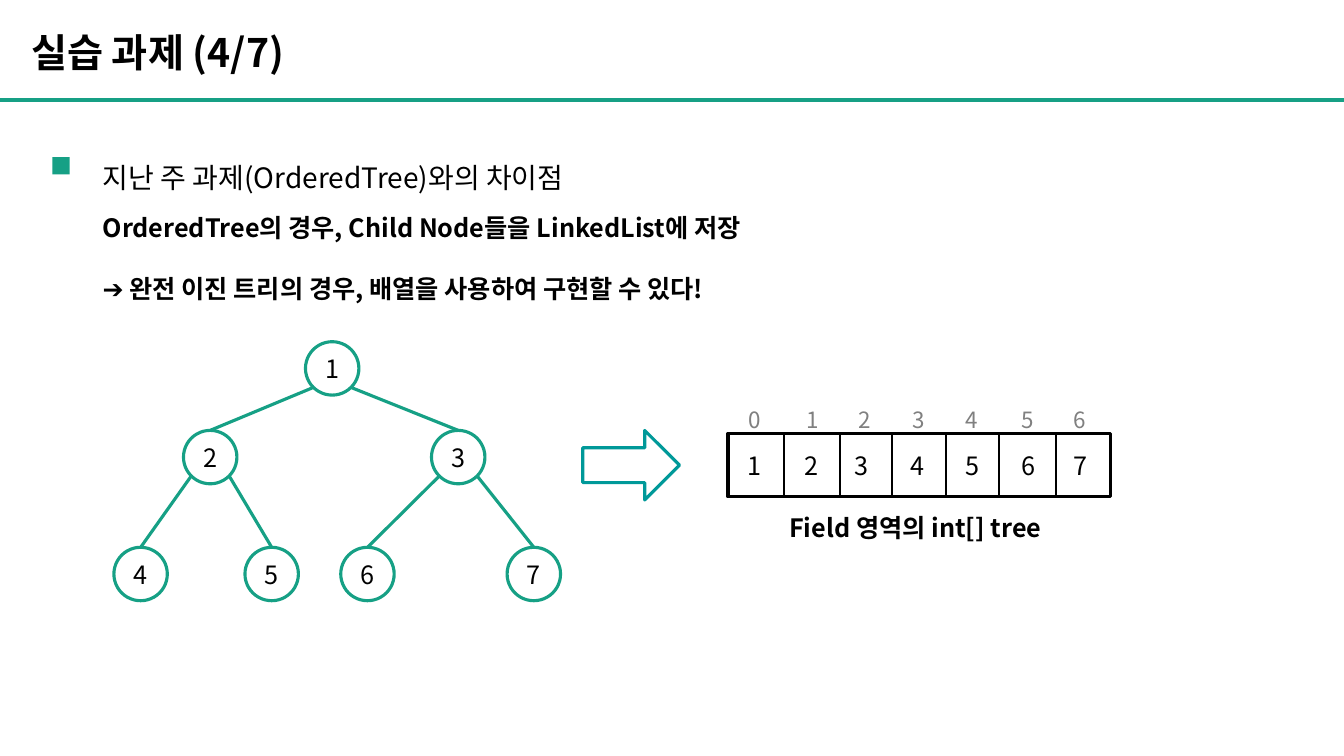
from pptx import Presentation
from pptx.dml.color import RGBColor
from pptx.enum.shapes import MSO_CONNECTOR, MSO_SHAPE
from pptx.enum.text import MSO_ANCHOR, MSO_AUTO_SIZE, PP_ALIGN
from pptx.oxml.ns import qn
from pptx.util import Inches, Pt
from lxml import etree

FONT = "Noto Sans CJK KR"
GREEN, TEAL, BLACK, GRAY = "16A085", "009999", "000000", "808080"
NODE_SIZE = 0.53
# Value of each tree node: left and top of its circle
NODES = {
    1: (3.03, 3.39),
    2: (1.82, 4.27), 3: (4.28, 4.27),
    4: (1.13, 5.43), 5: (2.43, 5.43), 6: (3.38, 5.43), 7: (5.03, 5.43),
}
ARRAY_LEFT, ARRAY_TOP, ARRAY_WIDTH, ARRAY_HEIGHT = 7.22, 4.3, 3.79, 0.63
DIVIDERS = [7.78, 8.33, 8.85, 9.38, 9.91, 10.47]
VALUE_LEFTS = [7.32, 7.88, 8.38, 8.93, 9.48, 10.03, 10.55]
INDEX_LEFTS = [7.33, 7.9, 8.42, 8.95, 9.48, 10.03, 10.55]


def color(hex_value):
    return RGBColor.from_string(hex_value)


def write(paragraph, text, size, ink=BLACK, bold=False):
    """Add a run whose Latin and East Asian text share one font."""
    run = paragraph.add_run()
    run.text = text
    for name, value in {"name": FONT, "size": Pt(size), "bold": bold}.items():
        setattr(run.font, name, value)
    run.font.color.rgb = color(ink)
    east_asian = etree.SubElement(run.font._element, qn("a:ea"))
    east_asian.set("typeface", FONT)


def add_text(shapes, box, lines, size, ink=BLACK, bold=False, **spacing):
    """Add a text box; spacing holds paragraph attributes."""
    frame = shapes.add_textbox(*map(Inches, box)).text_frame
    frame.word_wrap = True
    frame.auto_size = MSO_AUTO_SIZE.SHAPE_TO_FIT_TEXT
    for number, line in enumerate(lines):
        paragraph = frame.add_paragraph() if number else frame.paragraphs[0]
        write(paragraph, line, size, ink, bold)
        for name, value in spacing.items():
            setattr(paragraph, name, value)


def add_outline(shapes, kind, box, ink):
    outline = shapes.add_shape(kind, *map(Inches, box))
    outline.shadow.inherit = False
    outline.fill.background()
    outline.line.color.rgb = color(ink)
    outline.line.width = Pt(2.25)
    return outline


def add_line(shapes, start, end, ink, width):
    line = shapes.add_connector(MSO_CONNECTOR.STRAIGHT, *map(Inches, (*start, *end)))
    line.line.color.rgb = color(ink)
    line.line.width = Pt(width)
    etree.SubElement(line._element.spPr, qn("a:effectLst"))


def add_bullet(shapes, box):
    bullet = shapes.add_shape(MSO_SHAPE.RECTANGLE, *map(Inches, box))
    bullet.shadow.inherit = False
    bullet.fill.solid()
    bullet.fill.fore_color.rgb = color(GREEN)
    bullet.line.fill.background()


def add_node(shapes, value):
    box = (*NODES[value], NODE_SIZE, NODE_SIZE)
    frame = add_outline(shapes, MSO_SHAPE.OVAL, box, GREEN).text_frame
    frame.vertical_anchor = MSO_ANCHOR.MIDDLE
    frame.paragraphs[0].alignment = PP_ALIGN.CENTER
    write(frame.paragraphs[0], str(value), 18)


def add_edge(shapes, child):
    """Join the top of a child to the lower left or right of its parent."""
    radius, diagonal = NODE_SIZE / 2, 0.19
    left, top = NODES[child]
    parent_left, parent_top = NODES[child // 2]
    side = -diagonal if child % 2 == 0 else diagonal
    add_line(shapes, (left + radius, top),
             (parent_left + radius + side, parent_top + radius + diagonal), GREEN, 2.25)


def add_tree(shapes):
    for value in NODES:
        add_node(shapes, value)
        if value > 1:
            add_edge(shapes, value)


def add_array(shapes):
    cells = shapes.add_group_shape().shapes
    add_outline(cells, MSO_SHAPE.RECTANGLE,
                (ARRAY_LEFT, ARRAY_TOP, ARRAY_WIDTH, ARRAY_HEIGHT), BLACK)
    for value, left in enumerate(VALUE_LEFTS, start=1):
        add_text(cells, (left, 4.42, 0.37, 0.4), [str(value)], 18)
    for x in DIVIDERS:
        add_line(cells, (x, ARRAY_TOP), (x, ARRAY_TOP + ARRAY_HEIGHT), BLACK, 1.5)
    for index, left in enumerate(INDEX_LEFTS):
        add_text(shapes, (left, 3.98, 0.33, 0.37), [str(index)], 16, GRAY)
    add_text(shapes, (7.73, 5.03, 2.77, 0.4), ["Field 영역의 int[] tree"], 18, bold=True)


def main():
    deck = Presentation()
    deck.slide_width, deck.slide_height = Inches(13.33), Inches(7.5)
    shapes = deck.slides.add_slide(deck.slide_layouts[6]).shapes

    add_line(shapes, (0, 0.99), (13.33, 0.99), GREEN, 3)
    add_text(shapes, (0.21, 0.23, 10.15, 0.57), ["실습 과제 (4/7)"], 28, bold=True)
    add_text(shapes, (0.92, 1.21, 12.12, 0.67),
             ["지난 주 과제(OrderedTree)와의 차이점"], 20, line_spacing=2.0)
    add_bullet(shapes, (0.52, 1.56, 0.17, 0.17))
    add_text(shapes, (0.92, 2.06, 6.96, 1.01),
             ["OrderedTree의 경우, Child Node들을 LinkedList에 저장",
              "➔ 완전 이진 트리의 경우, 배열을 사용하여 구현할 수 있다!"],
             18, bold=True, space_after=Pt(22))
    add_tree(shapes)
    add_outline(shapes, MSO_SHAPE.RIGHT_ARROW, (5.78, 4.27, 0.96, 0.69), TEAL)
    add_array(shapes)
    deck.save("out.pptx")


if __name__ == "__main__":
    main()
